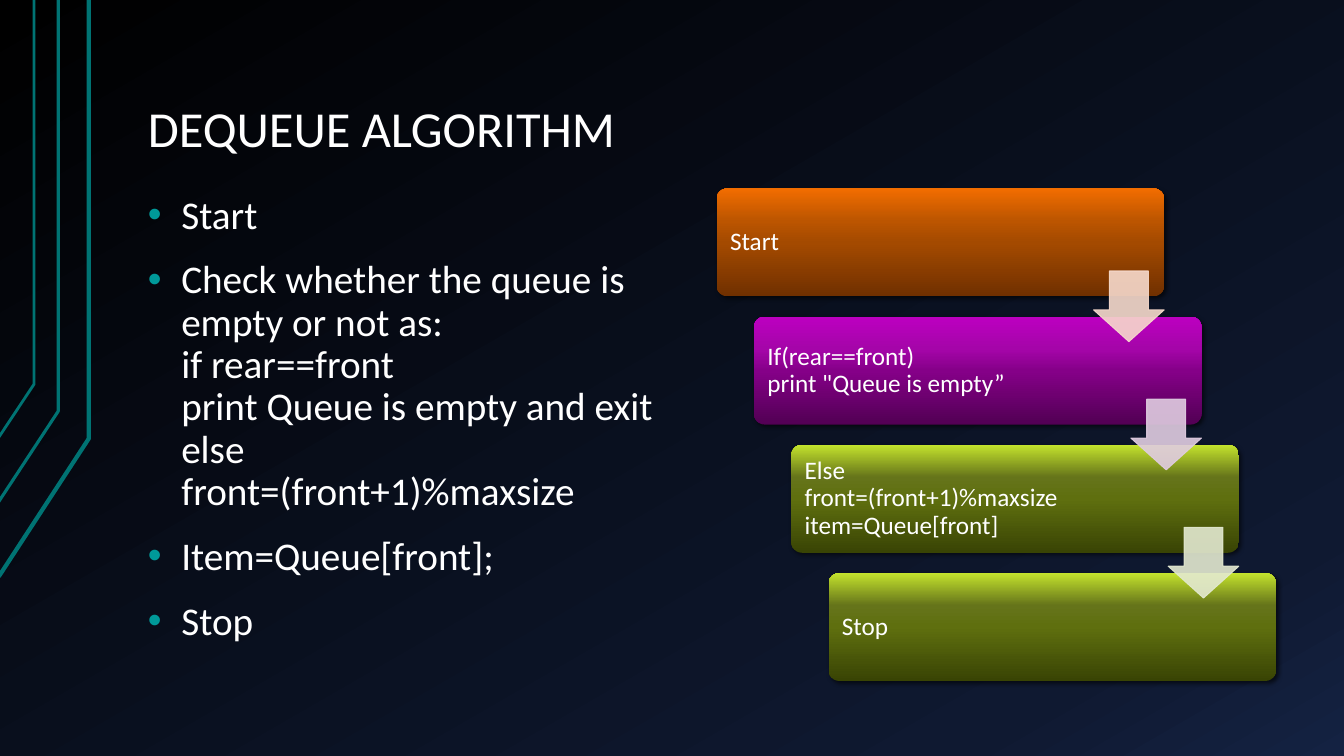
from dataclasses import dataclass

from lxml import etree
from pptx import Presentation
from pptx.dml.color import RGBColor
from pptx.enum.shapes import MSO_SHAPE
from pptx.enum.text import MSO_ANCHOR
from pptx.oxml import parse_xml
from pptx.oxml.ns import nsdecls, qn
from pptx.util import Cm, Pt

ROUND = MSO_SHAPE.ROUNDED_RECTANGLE
DOWN = MSO_SHAPE.DOWN_ARROW
TOP, MIDDLE, BOTTOM = MSO_ANCHOR.TOP, MSO_ANCHOR.MIDDLE, MSO_ANCHOR.BOTTOM

FONT = "Calibri"
WHITE, TEAL, BULLET = "FFFFFF", "007373", "009999"
Stops = list[tuple[int, str]]


@dataclass
class Step:
    text: str
    stops: Stops
    arrow: str = ""


@dataclass
class Trace:
    points: list[tuple[float, float]]
    width: float


OLIVE = [(0, "394404"), (50, "5F6F0F"), (70, "65741A"), (100, "C4E32D")]
STEPS = [
    Step("Start",
         [(0, "703000"), (50, "A44A00"), (70, "BC5500"), (100, "F26D00")], "F7DACC"),
    Step('If(rear==front)\vprint "Queue is empty”',
         [(0, "520054"), (50, "850088"), (70, "A505A9"), (100, "BC00C0")], "E0CCE1"),
    Step("Else\vfront=(front+1)%maxsize\vitem=Queue[front]", OLIVE, "E3E9D0"),
    Step("Stop", OLIVE),
]
TRACES = [
    Trace([(-0.03, 14.53), (2.24, 11.05), (2.24, 0)], 3),
    Trace([(-0.05, 12.67), (1.47, 10.36), (1.47, 0)], 2.25),
    Trace([(-0.03, 11.02), (0.86, 9.68), (0.86, 0)], 2),
]
POINTS = [
    "Start",
    "Check whether the queue is empty or not as:\vif rear==front\v"
    "print Queue is empty and exit\velse\vfront=(front+1)%maxsize",
    "Item=Queue[front];",
    "Stop",
]


def color(code: str) -> RGBColor:
    return RGBColor.from_string(code)


def blend(fill, owner, stops: Stops, angle: int) -> None:
    """Give a fill a linear gradient; the angle runs clockwise."""
    fill.gradient()
    grad = owner.find(".//" + qn("a:gradFill"))
    for child in list(grad):
        grad.remove(child)
    row = etree.SubElement(grad, qn("a:gsLst"))
    for place, code in stops:
        stop = etree.SubElement(row, qn("a:gs"), pos=str(place * 1000))
        etree.SubElement(stop, qn("a:srgbClr"), val=code)
    etree.SubElement(grad, qn("a:lin"), ang=str(angle * 60000), scaled="0")


def write(shape, lines: list[str], size: float, anchor, pad: tuple[float, float]) -> None:
    frame = shape.text_frame
    frame.word_wrap = True
    frame.vertical_anchor = anchor
    frame.margin_left = frame.margin_right = Cm(pad[0])
    frame.margin_top = frame.margin_bottom = Cm(pad[1])
    frame.text = "\n".join(lines)
    for para in frame.paragraphs:
        para.line_spacing = 0.9
        for run in para.runs:
            run.font.name = FONT
            run.font.size = Pt(size)
            run.font.color.rgb = color(WHITE)


def bullet(para) -> None:
    props = para._p.get_or_add_pPr()
    props.set("marL", str(Cm(0.84)))
    props.set("indent", str(Cm(-0.84)))
    tint = etree.SubElement(props, qn("a:buClr"))
    etree.SubElement(tint, qn("a:srgbClr"), val=BULLET)
    etree.SubElement(props, qn("a:buFont"), typeface="Arial")
    etree.SubElement(props, qn("a:buChar"), char="•")


def draw_trace(slide, trace: Trace) -> None:
    first, *rest = [(Cm(x), Cm(y)) for x, y in trace.points]
    path = slide.shapes.build_freeform(*first)
    path.add_line_segments(rest, close=False)
    shape = path.convert_to_shape()
    shape.shadow.inherit = False
    shape.fill.background()
    shape.line.color.rgb = color(TEAL)
    shape.line.width = Pt(trace.width)


def draw_step(slide, step: Step, left: float, top: float) -> None:
    box = slide.shapes.add_shape(ROUND, Cm(left), Cm(top), Cm(11.28), Cm(2.72))
    box.adjustments[0] = 0.1
    blend(box.fill, box.element, step.stops, 270)
    box.line.fill.background()
    box.element.spPr.append(parse_xml(
        f'<a:effectLst {nsdecls("a")}><a:outerShdw blurRad="{Pt(3)}" dist="{Pt(2)}" '
        'dir="2700000" algn="ctr" rotWithShape="0"><a:srgbClr val="000000">'
        '<a:alpha val="60000"/></a:srgbClr></a:outerShdw></a:effectLst>'))
    write(box, [step.text], 18, MIDDLE, (0.26, 0.26))
    for para in box.text_frame.paragraphs:
        para.alignment = 1  # left


def draw_arrow(slide, code: str, left: float, top: float) -> None:
    arrow = slide.shapes.add_shape(DOWN, Cm(left), Cm(top), Cm(1.78), Cm(1.78))
    arrow.shadow.inherit = False
    arrow.adjustments[0], arrow.adjustments[1] = 0.55, 0.45
    arrow.fill.solid()
    arrow.fill.fore_color.rgb = color(code)
    arrow.line.color.rgb = color(code)
    arrow.line.width = Pt(0.75)
    for tint in arrow.element.spPr.iter(qn("a:srgbClr")):
        etree.SubElement(tint, qn("a:alpha"), val="90000")


def main() -> None:
    deck = Presentation()
    deck.slide_width, deck.slide_height = Cm(33.87), Cm(19.05)
    slide = deck.slides.add_slide(deck.slide_layouts[6])

    # Backdrop
    blend(slide.background.fill, slide.element,
          [(0, "000000"), (85, "0F1931"), (100, "142242")], 60)
    for trace in TRACES:
        draw_trace(slide, trace)

    # Title and list
    title = slide.shapes.add_textbox(Cm(3.39), Cm(0.76), Cm(28.78), Cm(3.4))
    write(title, ["DEQUEUE ALGORITHM"], 36, BOTTOM, (0.34, 0.17))
    body = slide.shapes.add_textbox(Cm(3.39), Cm(4.75), Cm(14.1), Cm(12.4))
    write(body, POINTS, 28, TOP, (0.34, 0.17))
    for i, para in enumerate(body.text_frame.paragraphs):
        bullet(para)
        para.space_before = Pt(16 if i else 0)

    # Staircase of steps, with the arrows on top
    spots = [(18.06 + 0.94 * i, 4.75 + 3.23 * i) for i in range(len(STEPS))]
    for step, (left, top) in zip(STEPS, spots):
        draw_step(slide, step, left, top)
    for step, (left, top) in zip(STEPS, spots):
        if step.arrow:
            draw_arrow(slide, step.arrow, left + 9.5, top + 2.08)

    deck.save("out.pptx")


if __name__ == "__main__":
    main()
